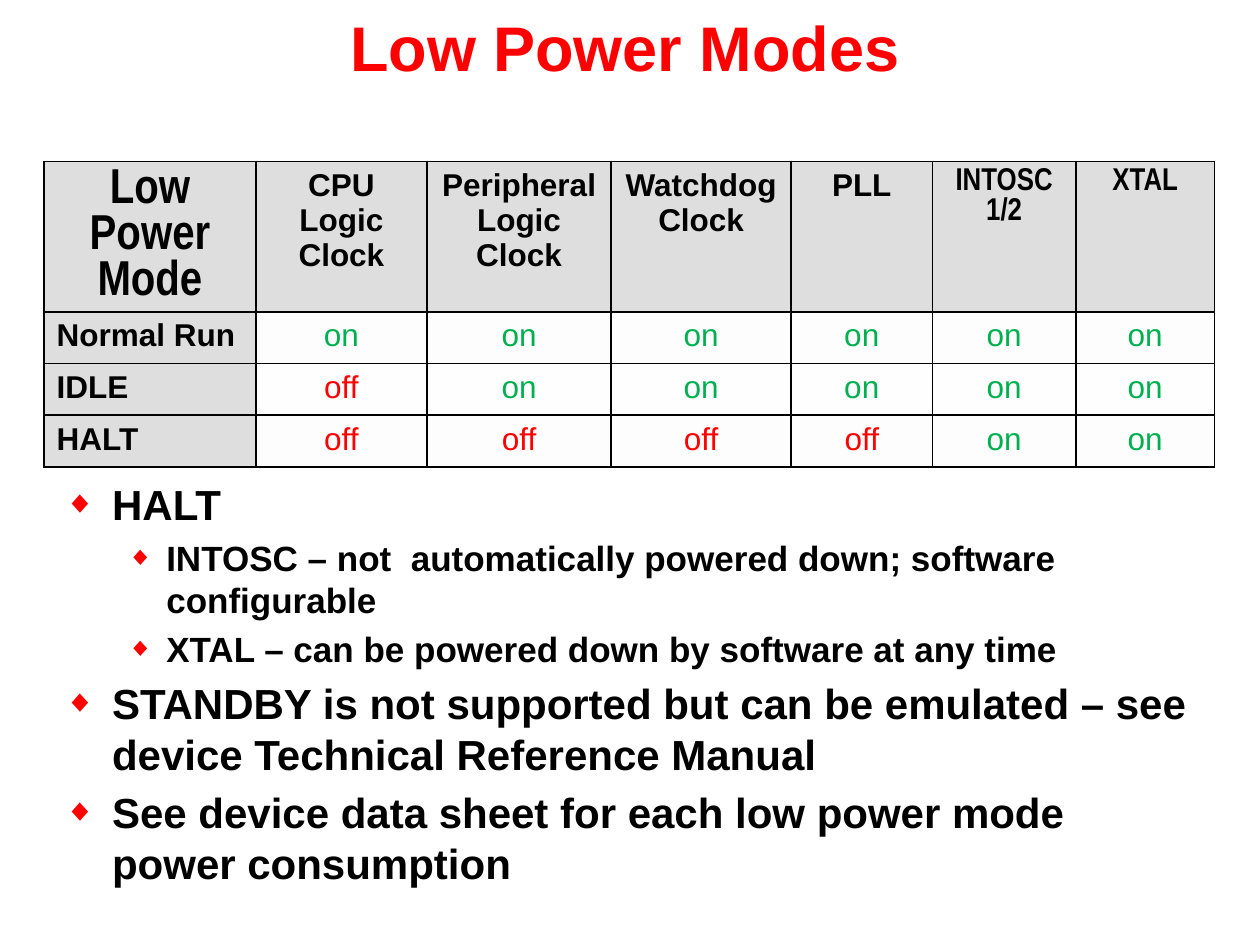
from lxml.etree import SubElement
from pptx import Presentation
from pptx.dml.color import RGBColor
from pptx.enum.text import MSO_ANCHOR as Anchor, MSO_AUTO_SIZE as AutoSize, PP_ALIGN as Align
from pptx.oxml.ns import qn
from pptx.util import Inches, Pt

RED = RGBColor(0xFF, 0x00, 0x00)
GREEN = RGBColor(0x00, 0xB0, 0x50)
BLACK = RGBColor(0x00, 0x00, 0x00)
HEADER_GRAY = RGBColor(0xDE, 0xDE, 0xDE)
ROW_FILLS = (RGBColor(0xFD, 0xFD, 0xFD), RGBColor(0xFE, 0xFE, 0xFE))
STATE_COLORS = {"on": GREEN, "off": RED}

TITLE_BOX = (0, 0.02, 9.92, 0.83)
TABLE_BOX = (0.35, 1.28, 9.29, 2.42)
BODY_BOX = (0.41, 3.75, 9.17, 3.4)

COLUMN_WIDTHS = (1.68, 1.36, 1.46, 1.43, 1.12, 1.14, 1.1)
HEADER_HEIGHT = 1.19
HEADERS = ("Low Power Mode", "CPU Logic\nClock", "Peripheral\nLogic Clock",
           "Watchdog\nClock", "PLL", "INTOSC 1/2", "XTAL")
NARROW_HEADERS = {"Low Power Mode": 28, "INTOSC 1/2": 18, "XTAL": 18}
MODES = (
    ("Normal Run", "on", "on", "on", "on", "on", "on"),
    ("IDLE", "off", "on", "on", "on", "on", "on"),
    ("HALT", "off", "off", "off", "off", "on", "on"),
)
NOTES = (
    (0, "HALT"),
    (1, "INTOSC – not  automatically powered down; software configurable"),
    (1, "XTAL – can be powered down by software at any time"),
    (0, "STANDBY is not supported but can be emulated – see device Technical Reference Manual"),
    (0, "See device data sheet for each low power mode power consumption"),
)
LEVEL_STYLES = ((24, 0.38, -0.38), (20, 0.81, -0.31))


def place(shape, box):
    """Move a shape to a box given in inches."""
    shape.left, shape.top, shape.width, shape.height = map(Inches, box)


def format_runs(paragraph, size, color, bold=True, name="Arial"):
    """Give every run of a paragraph the same font."""
    for run in paragraph.runs:
        font = run.font
        font.name, font.size, font.bold = name, Pt(size), bold
        font.color.rgb = color


def add_bullet(paragraph, margin, indent):
    """Give a paragraph a hanging red diamond."""
    properties = paragraph._p.get_or_add_pPr()
    properties.set("marL", str(Inches(margin)))
    properties.set("indent", str(Inches(indent)))
    color = SubElement(properties, qn("a:buClr"))
    SubElement(color, qn("a:srgbClr"), val=str(RED))
    SubElement(properties, qn("a:buSzPct"), val="75000")
    SubElement(properties, qn("a:buFont"), typeface="Arial")
    SubElement(properties, qn("a:buChar"), char="◆")


def add_borders(cell):
    """Draw a thin black line on all four sides of a cell."""
    properties = cell._tc.get_or_add_tcPr()
    for position, side in enumerate(("a:lnL", "a:lnR", "a:lnT", "a:lnB")):
        line = SubElement(properties, qn(side), w=str(Pt(1)))
        fill = SubElement(line, qn("a:solidFill"))
        SubElement(fill, qn("a:srgbClr"), val=str(BLACK))
        properties.insert(position, line)


def fill_title(shape, box):
    """Write the heading in its placeholder."""
    place(shape, box)
    frame = shape.text_frame
    frame.text = "Low Power Modes"
    frame.auto_size, frame.vertical_anchor = AutoSize.NONE, Anchor.MIDDLE
    frame.margin_bottom = Inches(0.19)
    frame.paragraphs[0].alignment = Align.CENTER
    format_runs(frame.paragraphs[0], 36, RED)


def fill_cell(cell, text, row, column):
    """Write and style one cell by its place in the table."""
    is_label = row == 0 or column == 0
    is_narrow = row == 0 and text in NARROW_HEADERS
    cell.text = text
    cell.vertical_anchor = Anchor.TOP
    cell.fill.solid()
    cell.fill.fore_color.rgb = HEADER_GRAY if is_label else ROW_FILLS[(row - 1) % 2]
    add_borders(cell)
    for paragraph in cell.text_frame.paragraphs:
        paragraph.alignment = Align.LEFT if row and column == 0 else Align.CENTER
        format_runs(paragraph, NARROW_HEADERS[text] if is_narrow else 18,
                    STATE_COLORS.get(text, BLACK), is_label,
                    "Arial Narrow" if is_narrow else "Arial")


def add_mode_table(slide, box):
    """Show which clocks run in each power mode."""
    rows = (HEADERS, *MODES)
    table = slide.shapes.add_table(len(rows), len(HEADERS), *map(Inches, box)).table
    table.horz_banding = False
    for column, width in zip(table.columns, COLUMN_WIDTHS):
        column.width = Inches(width)
    mode_height = (box[3] - HEADER_HEIGHT) / len(MODES)
    for row_index, texts in enumerate(rows):
        table.rows[row_index].height = Inches(mode_height if row_index else HEADER_HEIGHT)
        for column_index, text in enumerate(texts):
            fill_cell(table.cell(row_index, column_index), text, row_index, column_index)


def fill_notes(shape, box):
    """Write the bulleted notes in the body placeholder."""
    place(shape, box)
    frame = shape.text_frame
    frame.text = "\n".join(text for _, text in NOTES)
    frame.auto_size, frame.vertical_anchor = AutoSize.NONE, Anchor.TOP
    for paragraph, (level, _) in zip(frame.paragraphs, NOTES):
        size, margin, indent = LEVEL_STYLES[level]
        paragraph.level = level
        paragraph.space_before = Pt(size * 0.2)
        add_bullet(paragraph, margin, indent)
        format_runs(paragraph, size, BLACK)


def build():
    """Build the slide and save it."""
    presentation = Presentation()
    presentation.slide_width, presentation.slide_height = Inches(10), Inches(7.5)
    slide = presentation.slides.add_slide(presentation.slide_layouts[1])
    fill_title(slide.shapes.title, TITLE_BOX)
    add_mode_table(slide, TABLE_BOX)
    fill_notes(slide.placeholders[1], BODY_BOX)
    presentation.save("out.pptx")


build()
